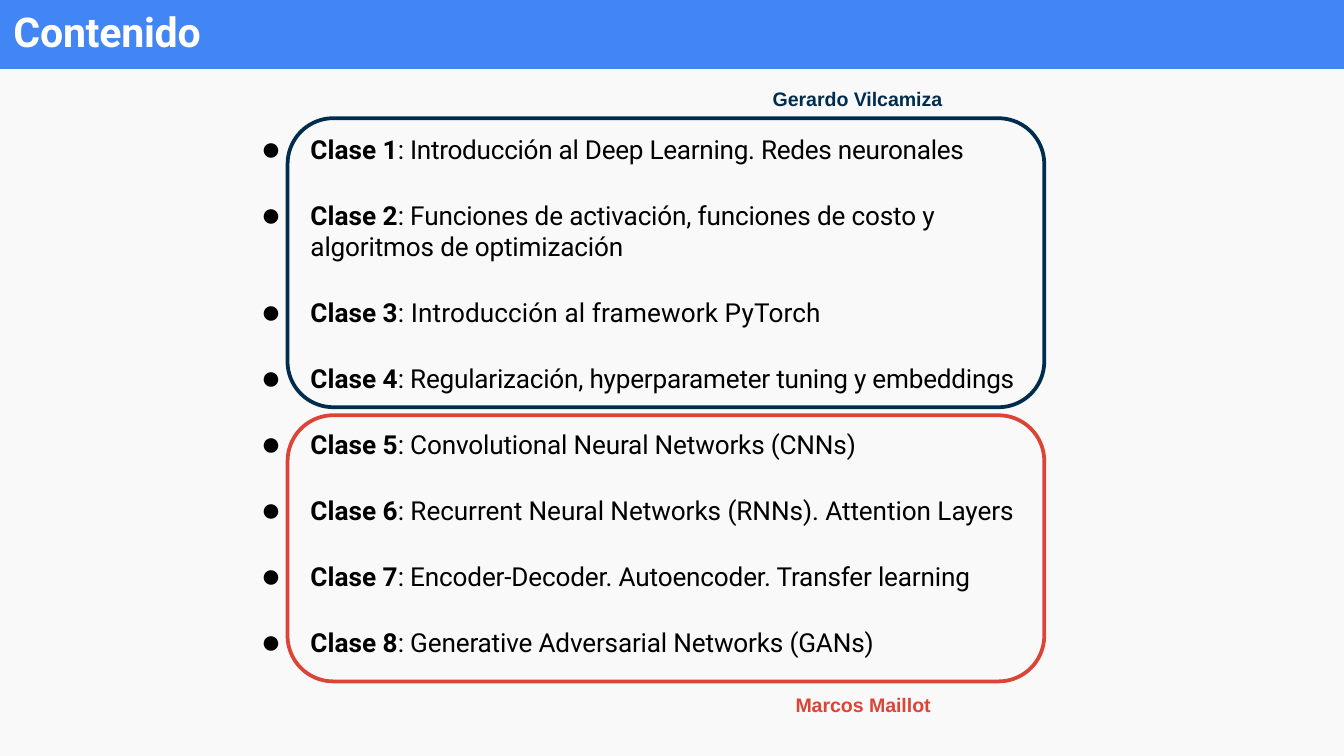
from pptx import Presentation, util as u
from pptx.dml.color import RGBColor
from pptx.enum import shapes, text
from lxml import etree
from pptx.oxml.ns import qn

# Content: label, topic, letter spacing in points
TITLE = "Contenido"
ITEMS = [
    ("Clase 1", "Introducción al Deep Learning. Redes neuronales", -0.18),
    ("Clase 2", "Funciones de activación, funciones de costo y "
                "algoritmos de optimización", -0.1),
    ("Clase 3", "Introducción al framework PyTorch", 0.05),
    ("Clase 4", "Regularización, hyperparameter tuning y embeddings", -0.14),
    ("Clase 5", "Convolutional Neural Networks (CNNs)", -0.12),
    ("Clase 6", "Recurrent Neural Networks (RNNs). Attention Layers", -0.06),
    ("Clase 7", "Encoder-Decoder. Autoencoder. Transfer learning", -0.11),
    ("Clase 8", "Generative Adversarial Networks (GANs)", -0.1),
]
# Teacher, colour, frame top and height, label box
GROUPS = [
    ("Gerardo Vilcamiza", "navy", 0.88, 2.15, (5.74, 0.64, 1.66, 0.19)),
    ("Marcos Maillot", "red", 3.09, 1.98, (5.91, 5.15, 1.04, 0.2)),
]

# Theme and layout
THEME = {
    "page": "F9F9F9", "bar": "4285F4", "white": "FFFFFF", "black": "000000",
    "navy": "002D4E", "red": "DB4437",
    "title": {"name": "Roboto", "size": u.Pt(22), "bold": True},
    "list": {"name": "Roboto", "size": u.Pt(14), "bold": False},
    "label": {"name": "Arial", "size": u.Pt(10.5), "bold": True},
}
WIDE = 10
HIGH = WIDE * 9 / 16
BAR = 0.51
LEFT, SPAN, CURVE = 2.14, 5.63, 0.34
GAP = 18.5
FRAME = {"margin_left": 0, "margin_top": u.Inches(0.01), "margin_right": 0,
         "margin_bottom": 0, "word_wrap": True,
         "auto_size": text.MSO_AUTO_SIZE.NONE,
         "vertical_anchor": text.MSO_ANCHOR.TOP}


def paint(name):
    return RGBColor.from_string(THEME[name])


def apply(item, style):
    for key, value in style.items():
        setattr(item, key, value)


def place(shape, box):
    keys = ("left", "top", "width", "height")
    apply(shape, dict(zip(keys, map(u.Inches, box))))
    apply(shape.text_frame, FRAME)
    return shape.text_frame


def write(para, words, style, tint, track=0):
    run = para.add_run()
    run.text = words
    apply(run.font, style)
    run.font.color.rgb = paint(tint)
    run.font._element.set("spc", str(round(track * 100)))


def indent(para, left, first):
    props = para._p.get_or_add_pPr()
    props.set("marL", str(u.Inches(left)))
    props.set("indent", str(u.Inches(first)))
    return props


def bullet(para):
    props = indent(para, 0.39, -0.37)
    for tag, key, value in (("a:buSzPct", "val", "129000"),
                            ("a:buChar", "char", "●")):
        etree.SubElement(props, qn(tag)).set(key, value)


def label(para, words, style, tint, track=0):
    apply(para, {"alignment": text.PP_ALIGN.LEFT, "space_before": u.Pt(1.1)})
    indent(para, 0.01, 0)
    write(para, words, THEME[style], tint, track)


deck = Presentation()
deck.slide_width, deck.slide_height = u.Inches(WIDE), u.Inches(HIGH)
slide = deck.slides.add_slide(deck.slide_layouts[1])
slide.background.fill.solid()
slide.background.fill.fore_color.rgb = paint("page")

# Title bar, behind the title
bar = slide.shapes.add_shape(shapes.MSO_SHAPE.RECTANGLE, 0, 0,
                             u.Inches(WIDE), u.Inches(BAR))
bar.shadow.inherit = False
bar.fill.solid()
bar.fill.fore_color.rgb = bar.line.color.rgb = paint("bar")
bar.line.width = u.Pt(0.75)
slide.shapes._spTree.insert(2, bar._element)
head = place(slide.shapes.title, (0.09, 0.04, 5.7, 0.39))
label(head.paragraphs[0], TITLE, "title", "white", -0.1)

# Class list
body = place(slide.placeholders[1], (1.92, 0.98, 5.83, 3.98))
for i, (name, topic, track) in enumerate(ITEMS):
    para = body.add_paragraph() if i else body.paragraphs[0]
    apply(para, {"alignment": text.PP_ALIGN.LEFT,
                 "space_before": u.Pt(GAP if i else 1.1)})
    bullet(para)
    write(para, name, {**THEME["list"], "bold": True}, "black")
    write(para, ": " + topic, THEME["list"], "black", track)

# Frame and teacher of each group
for name, tint, top, tall, box in GROUPS:
    ring = slide.shapes.add_shape(
        shapes.MSO_SHAPE.ROUNDED_RECTANGLE,
        *map(u.Inches, (LEFT, top, SPAN, tall)))
    ring.shadow.inherit = False
    ring.adjustments[0] = CURVE / tall
    ring.fill.background()
    ring.line.color.rgb = paint(tint)
    ring.line.width = u.Pt(2)
    note = place(slide.shapes.add_textbox(0, 0, 0, 0), box)
    label(note.paragraphs[0], name, "label", tint)

deck.save("out.pptx")
